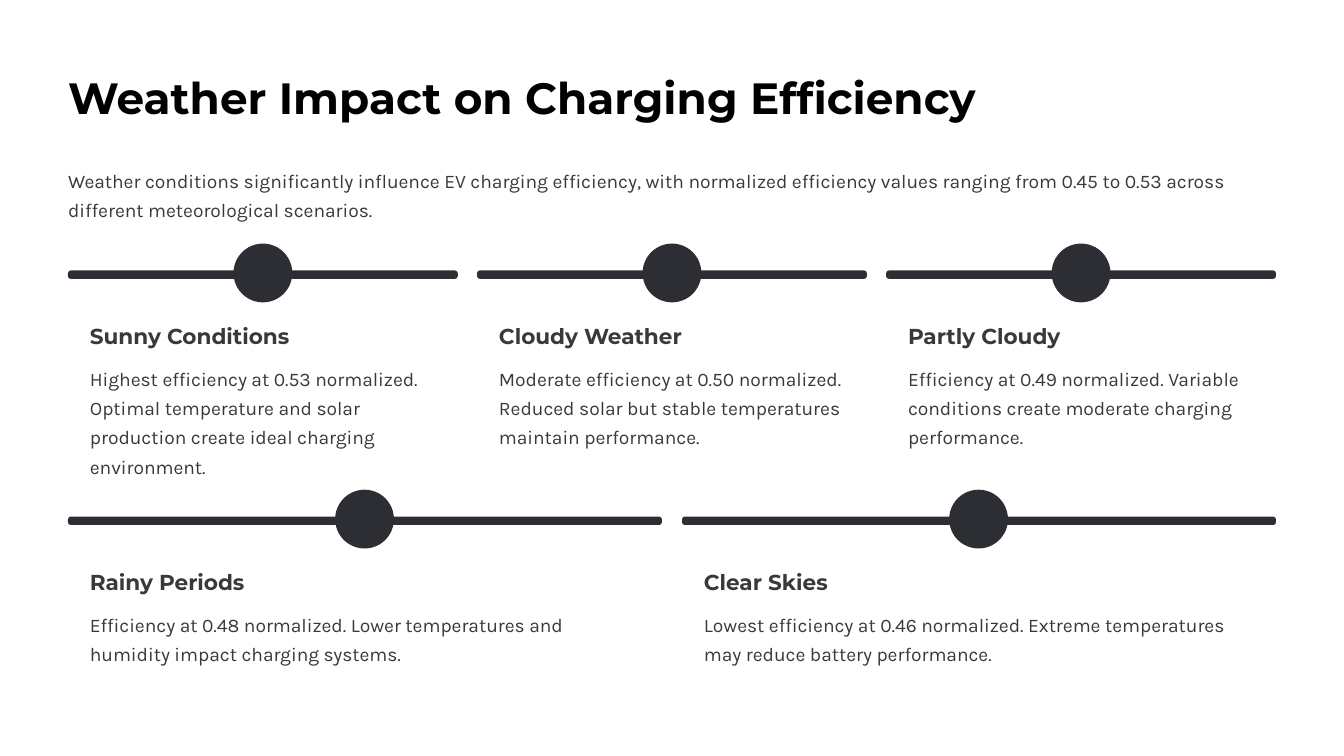
from dataclasses import dataclass

from pptx import Presentation
from pptx.dml.color import RGBColor
from pptx.enum.shapes import MSO_SHAPE
from pptx.shapes.autoshape import Shape
from pptx.slide import Slide
from pptx.util import Emu, Pt

PX = 9144  # EMU per px, 100 px to the inch
COLORS = {"title": "000000", "text": "3D3838", "accent": "2D2E34"}

LEFT, CONTENT_W, GAP = 81, 1438, 23
BAR_H, DOT, INSET = 10, 70, 26


@dataclass(frozen=True)
class TextStyle:
    font: str
    size: float
    leading: float
    color: str
    bold: bool = False


@dataclass(frozen=True)
class Condition:
    heading: str
    body: str


@dataclass(frozen=True)
class Row:
    bar_top: int
    body_h: int
    conditions: tuple[Condition, ...]


TITLE = TextStyle("Montserrat", 37.5, 47, "title", True)
HEADING = TextStyle("Montserrat", 18.5, 23.5, "text", True)
BODY = TextStyle("Karla", 16.5, 25, "text")

ROWS = (
    Row(322, 104, (
        Condition("Sunny Conditions",
                  "Highest efficiency at 0.53 normalized. Optimal temperature and solar "
                  "production create ideal charging environment."),
        Condition("Cloudy Weather",
                  "Moderate efficiency at 0.50 normalized. Reduced solar but stable "
                  "temperatures maintain performance."),
        Condition("Partly Cloudy",
                  "Efficiency at 0.49 normalized. Variable conditions create moderate "
                  "charging performance."),
    )),
    Row(615, 70, (
        Condition("Rainy Periods",
                  "Efficiency at 0.48 normalized. Lower temperatures and humidity "
                  "impact charging systems."),
        Condition("Clear Skies",
                  "Lowest efficiency at 0.46 normalized. Extreme temperatures may "
                  "reduce battery performance."),
    )),
)


def px(n: int) -> Emu:
    return Emu(n * PX)


def add_text(s: Slide, text: str, style: TextStyle,
             x: int, y: int, w: int, h: int) -> None:
    tf = s.shapes.add_textbox(px(x), px(y), px(w), px(h)).text_frame
    tf.word_wrap = True
    tf.margin_left = tf.margin_right = tf.margin_top = tf.margin_bottom = 0
    p = tf.paragraphs[0]
    p.line_spacing = Pt(style.leading)
    r = p.add_run()
    r.text = text
    r.font.name = style.font
    r.font.size = Pt(style.size)
    r.font.bold = style.bold
    r.font.color.rgb = RGBColor.from_string(COLORS[style.color])


def add_accent(s: Slide, kind: MSO_SHAPE, x: int, y: int, w: int, h: int) -> Shape:
    sp = s.shapes.add_shape(kind, px(x), px(y), px(w), px(h))
    sp.shadow.inherit = False
    sp.fill.solid()
    sp.fill.fore_color.rgb = RGBColor.from_string(COLORS["accent"])
    sp.line.fill.background()
    return sp


def add_row(s: Slide, row: Row) -> None:
    """Spread the row's conditions evenly over the content width."""
    n = len(row.conditions)
    width = (CONTENT_W - GAP * (n - 1)) // n
    for i, condition in enumerate(row.conditions):
        x = round(LEFT + i * (CONTENT_W + GAP) / n)
        bar = add_accent(s, MSO_SHAPE.ROUNDED_RECTANGLE, x, row.bar_top, width, BAR_H)
        bar.adjustments[0] = 0.35
        add_accent(s, MSO_SHAPE.OVAL, x + (width - DOT) // 2, row.bar_top - 32, DOT, DOT)
        text_x, text_w = x + INSET, width - 2 * INSET
        add_text(s, condition.heading, HEADING, text_x, row.bar_top + 61, text_w, 33)
        add_text(s, condition.body, BODY, text_x, row.bar_top + 108, text_w, row.body_h)


def main() -> None:
    prs = Presentation()
    prs.slide_width, prs.slide_height = px(1600), px(900)
    s = prs.slides.add_slide(prs.slide_layouts[6])
    add_text(s, "Weather Impact on Charging Efficiency", TITLE, LEFT, 82, CONTENT_W, 66)
    add_text(s, "Weather conditions significantly influence EV charging efficiency, with "
                "normalized efficiency values ranging from 0.45 to 0.53 across different "
                "meteorological scenarios.", BODY, LEFT, 194, CONTENT_W, 70)
    for row in ROWS:
        add_row(s, row)
    prs.save("out.pptx")


if __name__ == "__main__":
    main()
